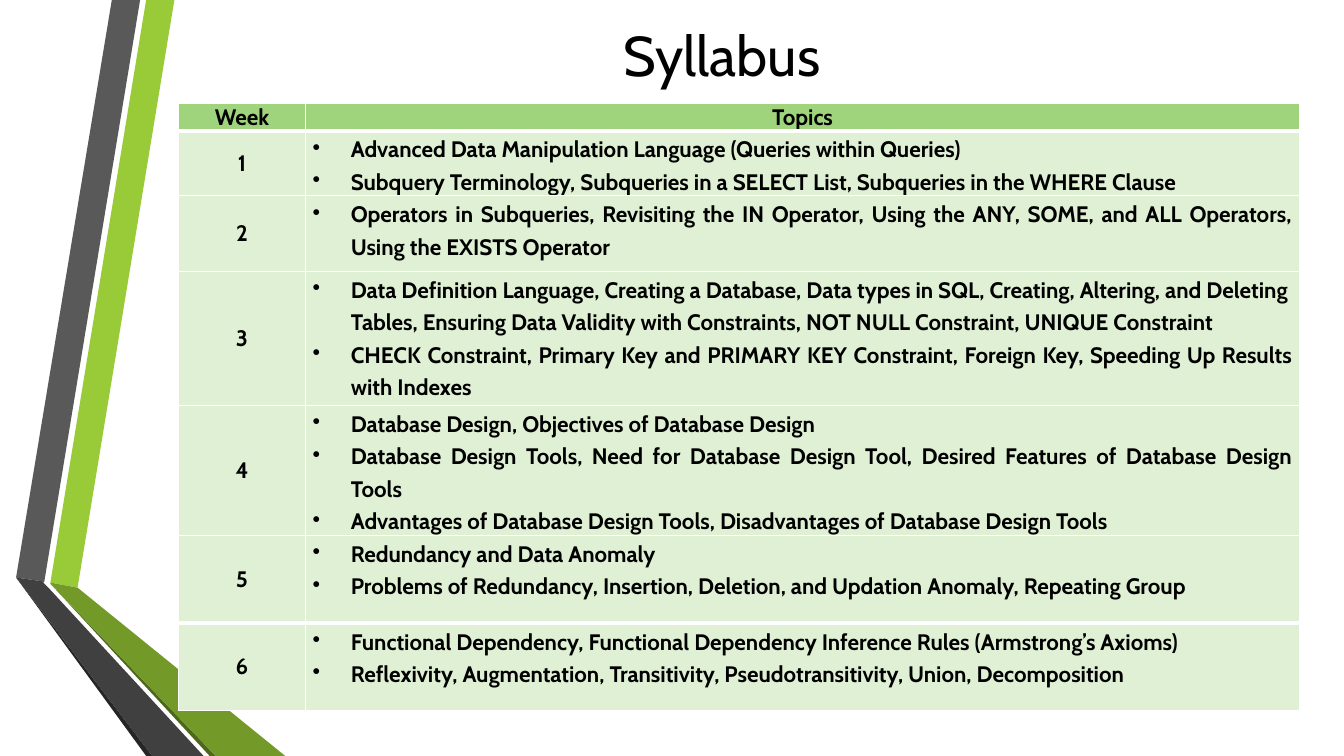
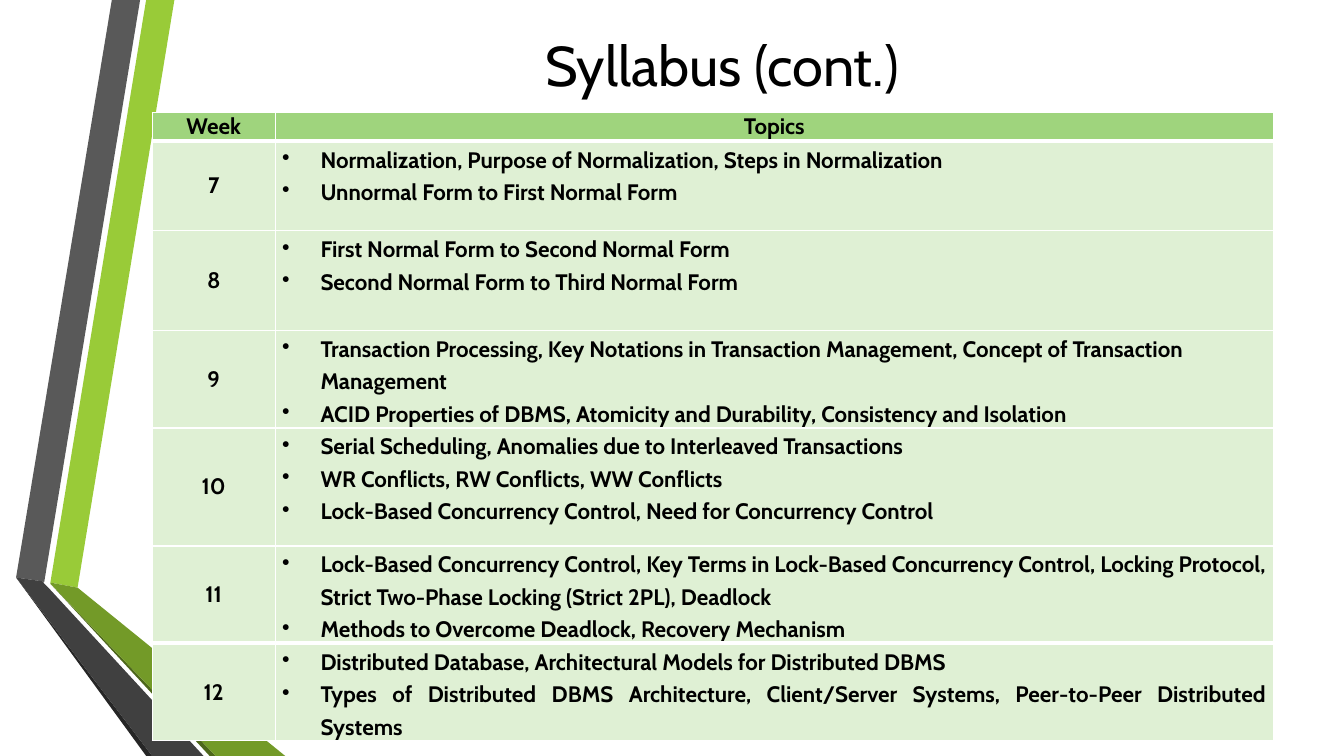
from dataclasses import dataclass
from typing import Any, NamedTuple

from lxml.etree import SubElement
from pptx import Presentation
from pptx.dml.color import RGBColor
from pptx.enum.text import MSO_ANCHOR, MSO_AUTO_SIZE, PP_ALIGN
from pptx.oxml.ns import qn
from pptx.util import Inches, Pt


@dataclass(frozen=True)
class Theme:
    font: str = "Cabin"
    ink: str = "000000"
    line: str = "FFFFFF"
    head: str = "9FD47D"
    body: str = "DFF0D4"
    lime: str = "99CB38"
    leaf: str = "739A28"
    moss: str = "4D671B"
    ash: str = "595959"
    slate: str = "404040"
    coal: str = "262626"
    title: int = 40
    text: int = 16
    thin: int = 1
    thick: int = 3


THEME = Theme()


class Band(NamedTuple):
    color: str
    points: list[tuple[float, float]]


class Topic(NamedTuple):
    text: str
    align: PP_ALIGN = PP_ALIGN.JUSTIFY


class Week(NamedTuple):
    height: float
    topics: list[Topic]


@dataclass(frozen=True)
class Page:
    title: str
    depth: float
    left: float
    top: float
    cols: tuple[float, float]
    head: float
    first: int
    weeks: list[Week]


BANDS = [
    Band(THEME.lime, [(0.5, 5.78), (0.77, 5.83), (1.73, 0), (1.45, 0)]),
    Band(THEME.ash, [(1.39, 0), (1.11, 0), (0.16, 5.73), (0.44, 5.77)]),
    Band(THEME.coal, [(0.16, 5.73), (1.45, 7.5), (1.51, 7.5)]),
    Band(THEME.moss, [(0.5, 5.79), (2.08, 7.5), (2.14, 7.5)]),
    Band(THEME.leaf, [(0.5, 5.78), (0.5, 5.79), (2.14, 7.5), (2.83, 7.5), (0.77, 5.83)]),
    Band(THEME.slate, [(2.02, 7.5), (0.48, 5.83), (0.43, 5.78), (0.44, 5.77),
                       (0.16, 5.73), (1.51, 7.5)]),
]

PAGES = [
    Page("Syllabus", 0.78, 1.77, 1.03, (1.26, 9.86), 0.22, 1, [
        Week(0.58, [
            Topic("Advanced Data Manipulation Language (Queries within Queries)"),
            Topic("Subquery Terminology, Subqueries in a SELECT List, "
                  "Subqueries in the WHERE Clause"),
        ]),
        Week(0.75, [
            Topic("Operators in Subqueries, Revisiting the IN Operator, Using the ANY, "
                  "SOME, and ALL Operators, Using the EXISTS Operator"),
        ]),
        Week(1.33, [
            Topic("Data Definition Language, Creating a Database, Data types in SQL, "
                  "Creating, Altering, and Deleting Tables, Ensuring Data Validity with "
                  "Constraints, NOT NULL Constraint, UNIQUE Constraint", PP_ALIGN.LEFT),
            Topic("CHECK Constraint, Primary Key and PRIMARY KEY Constraint, Foreign Key, "
                  "Speeding Up Results with Indexes"),
        ]),
        Week(1.06, [
            Topic("Database Design, Objectives of Database Design"),
            Topic("Database Design Tools, Need for Database Design Tool, "
                  "Desired Features of Database Design Tools"),
            Topic("Advantages of Database Design Tools, "
                  "Disadvantages of Database Design Tools"),
        ]),
        Week(0.87, [
            Topic("Redundancy and Data Anomaly"),
            Topic("Problems of Redundancy, Insertion, Deletion, and Updation Anomaly, "
                  "Repeating Group"),
        ]),
        Week(0.87, [
            Topic("Functional Dependency, Functional Dependency Inference Rules "
                  "(Armstrong’s Axioms)"),
            Topic("Reflexivity, Augmentation, Transitivity, Pseudotransitivity, Union, "
                  "Decomposition"),
        ]),
    ]),
    Page("Syllabus (cont.)", 0.97, 1.51, 1.12, (1.22, 9.9), 0.28, 7, [
        Week(0.89, [
            Topic("Normalization, Purpose of Normalization, Steps in Normalization"),
            Topic("Unnormal Form to First Normal Form"),
        ]),
        Week(0.99, [
            Topic("First Normal Form to Second Normal Form"),
            Topic("Second Normal Form to Third Normal Form"),
        ]),
        Week(0.66, [
            Topic("Transaction Processing, Key Notations in Transaction Management, "
                  "Concept of Transaction Management", PP_ALIGN.LEFT),
            Topic("ACID Properties of DBMS, Atomicity and Durability, "
                  "Consistency and Isolation"),
        ]),
        Week(1.17, [
            Topic("Serial Scheduling, Anomalies due to Interleaved Transactions"),
            Topic("WR Conflicts, RW Conflicts, WW Conflicts"),
            Topic("Lock-Based Concurrency Control, Need for Concurrency Control"),
        ]),
        Week(0.75, [
            Topic("Lock-Based Concurrency Control, Key Terms in Lock-Based Concurrency "
                  "Control, Locking Protocol, Strict Two-Phase Locking (Strict 2PL), "
                  "Deadlock"),
            Topic("Methods to Overcome Deadlock, Recovery Mechanism"),
        ]),
        Week(0.73, [
            Topic("Distributed Database, Architectural Models for Distributed DBMS"),
            Topic("Types of Distributed DBMS Architecture, Client/Server Systems, "
                  "Peer-to-Peer Distributed Systems"),
        ]),
    ]),
]


def assign(item: Any, values: dict[str, Any]) -> None:
    """Set each named attribute of the item."""
    for name, value in values.items():
        setattr(item, name, value)


def paint(item: Any, color: str) -> None:
    item.fill.solid()
    item.fill.fore_color.rgb = RGBColor.from_string(color)


def write(para: Any, text: str, size: int, bold: bool, align: PP_ALIGN) -> None:
    para.alignment = align
    run = para.add_run()
    run.text = text
    assign(run.font, {"name": THEME.font, "size": Pt(size), "bold": bold})
    run.font.color.rgb = RGBColor.from_string(THEME.ink)


def draw_bands(slide: Any, layout: Any) -> None:
    """Draw the ribbons once and move them behind the layout's placeholders."""
    group = slide.shapes.add_group_shape()
    for band in BANDS:
        (x, y), *rest = [(Inches(a), Inches(b)) for a, b in band.points]
        pen = group.shapes.build_freeform(x, y)
        pen.add_line_segments(rest, close=True)
        shape = pen.convert_to_shape()
        shape.shadow.inherit = False
        paint(shape, band.color)
        shape.line.fill.background()
    layout.shapes.element.insert(2, group.element)


def add_title(slide: Any, page: Page) -> None:
    title = slide.shapes.title
    assign(title, {"left": Inches(1.68), "top": Inches(0.15),
                   "width": Inches(10.96), "height": Inches(page.depth)})
    assign(title.text_frame, {"vertical_anchor": MSO_ANCHOR.MIDDLE, "word_wrap": True,
                              "auto_size": MSO_AUTO_SIZE.NONE})
    write(title.text_frame.paragraphs[0], page.title, THEME.title, False, PP_ALIGN.CENTER)


def add_edge(cell: Any, side: str, width: int) -> None:
    edge = SubElement(cell._tc.get_or_add_tcPr(), qn(f"a:ln{side}"), w=str(Pt(width)))
    fill = SubElement(edge, qn("a:solidFill"))
    SubElement(fill, qn("a:srgbClr"), val=THEME.line)


def style_cell(cell: Any, color: str, pad: float, above: int, below: int,
               anchor: MSO_ANCHOR) -> None:
    edges = {"L": THEME.thin, "R": THEME.thin, "T": above, "B": below}
    for side, width in edges.items():
        add_edge(cell, side, width)
    paint(cell, color)
    assign(cell, {"margin_left": Inches(pad), "margin_right": Inches(pad),
                  "margin_top": 0, "margin_bottom": 0, "vertical_anchor": anchor})


def add_topics(cell: Any, topics: list[Topic]) -> None:
    frame = cell.text_frame
    for i, topic in enumerate(topics):
        para = frame.add_paragraph() if i else frame.paragraphs[0]
        props = para._p.get_or_add_pPr()
        props.set("marL", str(Inches(0.38)))
        props.set("indent", str(-Inches(0.38)))
        SubElement(props, qn("a:buChar"), char="•")
        para.line_spacing = 1.2
        write(para, topic.text, THEME.text, True, topic.align)


def add_weeks(slide: Any, page: Page) -> None:
    heights = [page.head, *(week.height for week in page.weeks)]
    count = len(heights)
    table = slide.shapes.add_table(
        count, 2, Inches(page.left), Inches(page.top),
        Inches(sum(page.cols)), Inches(sum(heights))).table
    table.horz_banding = False
    for col, width in zip(table.columns, page.cols):
        col.width = Inches(width)
    for row, height in zip(table.rows, heights):
        row.height = Inches(height)

    # Heavy rules lie below the header and above the last week.
    rules = [THEME.thick if i in (1, count - 1) else THEME.thin for i in range(count + 1)]
    for c, label in enumerate(("Week", "Topics")):
        cell = table.cell(0, c)
        style_cell(cell, THEME.head, 0.01, rules[0], rules[1], MSO_ANCHOR.TOP)
        write(cell.text_frame.paragraphs[0], label, THEME.text, True, PP_ALIGN.CENTER)
    for r, week in enumerate(page.weeks, 1):
        mark, cell = table.cell(r, 0), table.cell(r, 1)
        style_cell(mark, THEME.body, 0.01, rules[r], rules[r + 1], MSO_ANCHOR.MIDDLE)
        write(mark.text_frame.paragraphs[0], str(page.first + r - 1),
              THEME.text, True, PP_ALIGN.CENTER)
        style_cell(cell, THEME.body, 0.07, rules[r], rules[r + 1], MSO_ANCHOR.TOP)
        add_topics(cell, week.topics)


def main() -> None:
    deck = Presentation()
    assign(deck, {"slide_width": Inches(13.33), "slide_height": Inches(7.5)})
    layout = deck.slide_layouts[5]
    for i, page in enumerate(PAGES):
        slide = deck.slides.add_slide(layout)
        if i == 0:
            draw_bands(slide, layout)
        add_title(slide, page)
        add_weeks(slide, page)
    deck.save("out.pptx")


if __name__ == "__main__":
    main()
